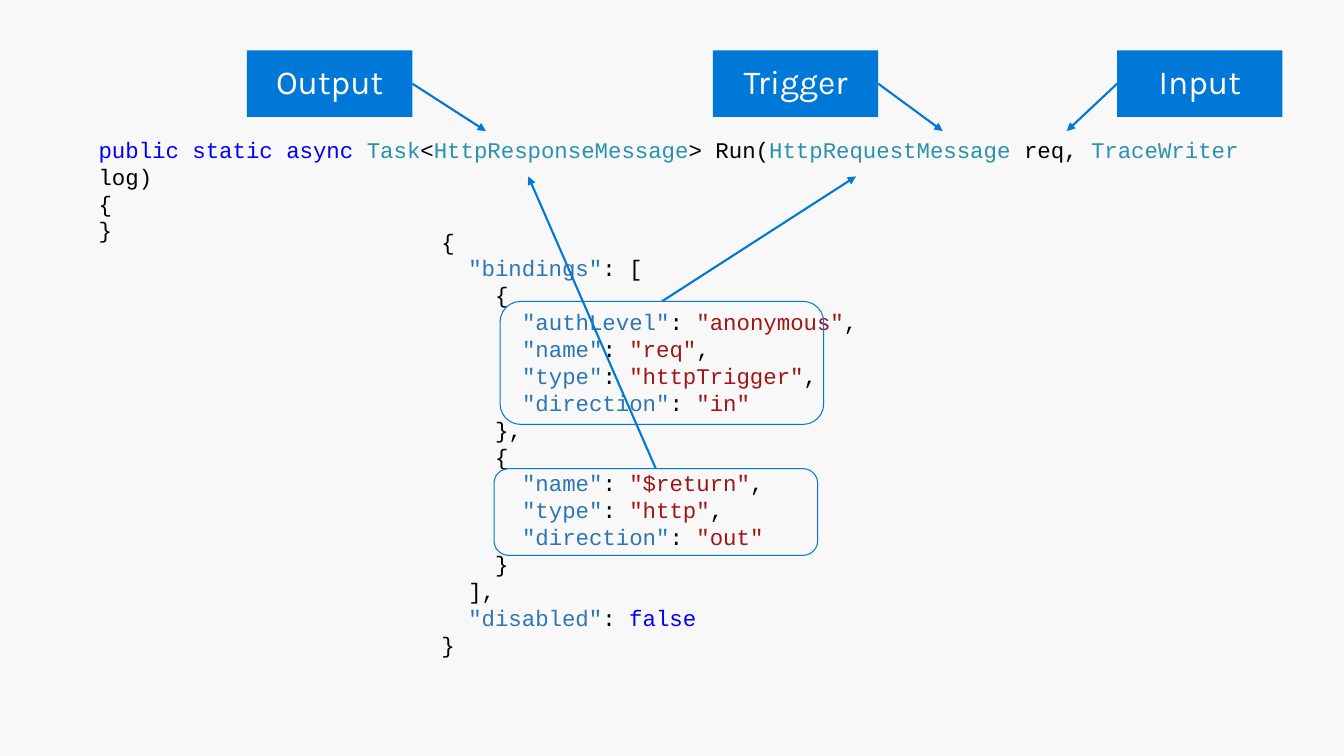
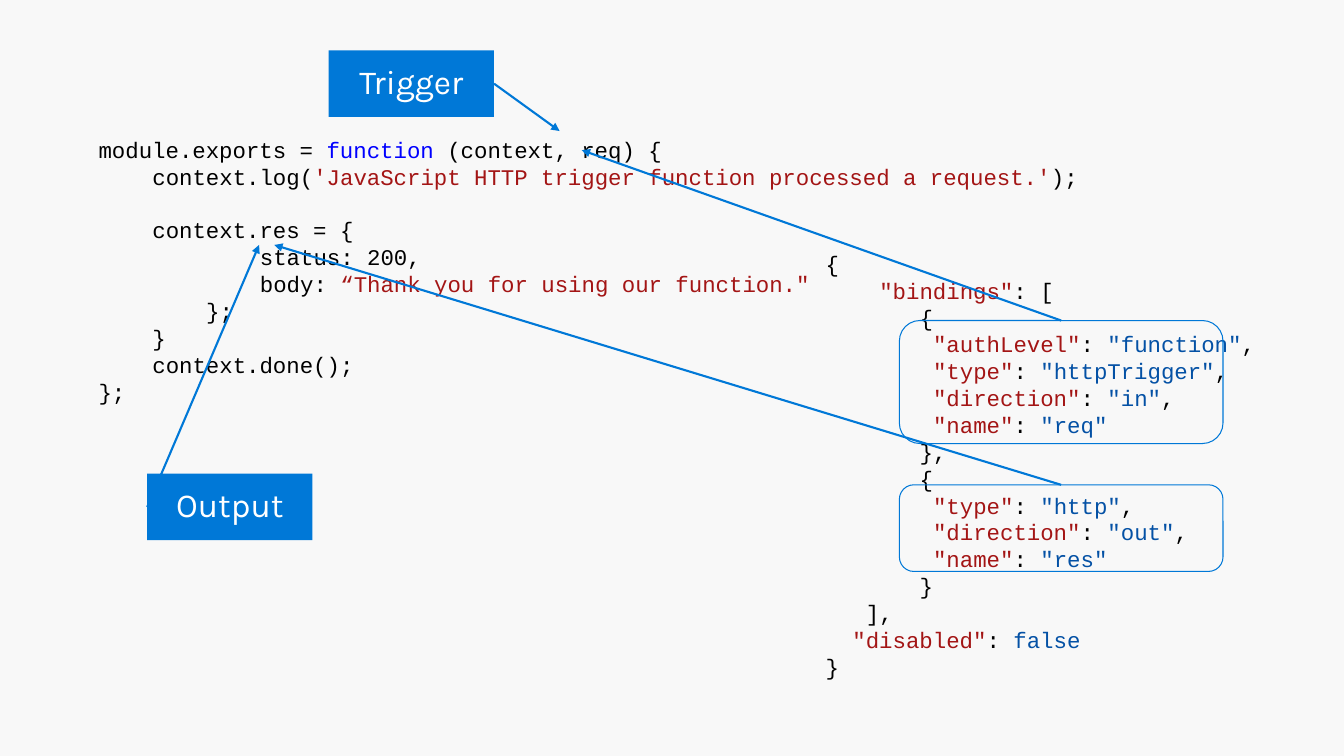
"""Build two slides that tie function code to its binding settings."""
from lxml import etree
from pptx import Presentation
from pptx.dml.color import RGBColor
from pptx.enum import shapes, text
from pptx.oxml import ns
from pptx.util import Inches, Pt

hue = RGBColor.from_string
BLACK, WHITE, PAPER = "000000", "FFFFFF", "F8F8F8"
BLUE, WORD, TYPE = "0078D7", "0000FF", "2B91AF"
RED, STEEL, NAVY = "A31515", "2E75B6", "0451A5"
LEFT, TOP, RIGHT = 1, 0, 3
CHAR, PITCH = 0.6 * 16 / 72, 19.2


def write(slide, left, top, width, rows):
    """Add a code box from rows of indent, blank lines above and coloured runs."""
    high = sum(1 + gap for _, gap, _ in rows) * PITCH / 72 + 0.1
    box = slide.shapes.add_textbox(Inches(left), Inches(top), Inches(width), Inches(high))
    frame = box.text_frame
    frame.word_wrap = True
    for i, (cols, gap, runs) in enumerate(rows):
        para = frame.add_paragraph() if i else frame.paragraphs[0]
        para.line_spacing = Pt(PITCH)
        para.space_before = Pt(gap * PITCH)
        para._p.get_or_add_pPr().set("marL", str(Inches(cols * CHAR)))
        for words, color in runs:
            run = para.add_run()
            run.text = words
            run.font.name, run.font.size = "Courier New", Pt(16)
            run.font.color.rgb = hue(color)


def link(slide, shape, site, x, y):
    """Draw an arrow from one side of a shape to a point."""
    line = slide.shapes.add_connector(shapes.MSO_CONNECTOR.STRAIGHT, 0, 0, Inches(x), Inches(y))
    line.begin_connect(shape, site)
    line.line.color.rgb = hue(BLUE)
    line.line.width = Pt(1.5)
    etree.SubElement(line.line._get_or_add_ln(), ns.qn("a:tailEnd"), type="triangle")
    etree.SubElement(line._element.spPr, ns.qn("a:effectLst"))


sharp = [
    (0, 0, [("public static async ", WORD), ("Task", TYPE), ("<", BLACK),
            ("HttpResponseMessage", TYPE), ("> Run(", BLACK),
            ("HttpRequestMessage ", TYPE), ("req, ", BLACK),
            ("TraceWriter", TYPE), (" log)", BLACK)]),
    (0, 0, [("{", BLACK)]),
    (0, 0, [("}", BLACK)]),
]
script = [
    (0, 0, [("module.exports = ", BLACK), ("function", WORD), (" (context, req) {", BLACK)]),
    (4, 0, [("context.log(", BLACK),
            ("'JavaScript HTTP trigger function processed a request.'", RED), (");", BLACK)]),
    (4, 1, [("context.res = {", BLACK)]),
    (12, 0, [("status: 200,", BLACK)]),
    (12, 0, [("body: ", BLACK), ("“Thank you for using our function.\"", RED)]),
    (8, 0, [("};", BLACK)]),
    (4, 0, [("}", BLACK)]),
    (4, 0, [("context.done();", BLACK)]),
    (0, 0, [("};", BLACK)]),
]

first = {
    "code": sharp, "at": (4.28, 2.21), "cols": (2, 4, 6, 2, 2),
    "hues": (STEEL, RED, WORD),
    "in": [("authLevel", "anonymous"), ("name", "req"), ("type", "httpTrigger"),
           ("direction", "in")],
    "out": [("name", "$return"), ("type", "http"), ("direction", "out")],
    "tags": [("Trigger", 7.07, 0.5, RIGHT, 9.35, 1.3),
             ("Input", 11.08, 0.5, LEFT, 10.58, 1.3),
             ("Output", 2.45, 0.5, RIGHT, 4.82, 1.3)],
    "frames": [(4.96, 2.99, 1.22, 8.49, 1.75), (4.9, 4.65, 0.86, 5.24, 1.75)],
}
second = {
    "code": script, "at": (8.09, 2.43), "cols": (4, 7, 8, 3, 2),
    "hues": (RED, NAVY, NAVY),
    "in": [("authLevel", "function"), ("type", "httpTrigger"), ("direction", "in"),
           ("name", "req")],
    "out": [("type", "http"), ("direction", "out"), ("name", "res")],
    "tags": [("Trigger", 3.26, 0.5, RIGHT, 5.55, 1.3),
             ("Output", 1.46, 4.7, LEFT, 2.57, 2.43)],
    "frames": [(8.92, 3.18, 1.22, 5.77, 1.49), (8.92, 4.81, 0.86, 2.72, 2.43)],
}

deck = Presentation()
deck.slide_width, deck.slide_height = Inches(13.33), Inches(7.5)
back = deck.slide_master.background.fill
back.solid()
back.fore_color.rgb = hue(PAPER)

for page in (first, second):
    slide = deck.slides.add_slide(deck.slide_layouts[6])
    write(slide, 0.88, 1.3, 11.57, page["code"])

    head, brace, pair, close, last = page["cols"]
    key, value, flag = page["hues"]
    rows = [(0, 0, [("{", BLACK)]), (head, 0, [('"bindings"', key), (": [", BLACK)])]
    for part, end in (("in", "},"), ("out", "}")):
        rows.append((brace, 0, [("{", BLACK)]))
        for i, (name, item) in enumerate(page[part], 1):
            runs = [(f'"{name}"', key), (": ", BLACK), (f'"{item}"', value)]
            if i < len(page[part]):
                runs.append((",", BLACK))
            rows.append((pair, 0, runs))
        rows.append((brace, 0, [(end, BLACK)]))
    rows += [(close, 0, [("],", BLACK)]),
             (last, 0, [('"disabled"', key), (": ", BLACK), ("false", flag)]),
             (0, 0, [("}", BLACK)])]
    write(slide, *page["at"], 6.67, rows)

    for label, left, top, site, x, y in page["tags"]:
        tag = slide.shapes.add_shape(shapes.MSO_SHAPE.RECTANGLE, Inches(left), Inches(top),
                                     Inches(1.64), Inches(0.66))
        tag.shadow.inherit = False
        tag.fill.solid()
        tag.fill.fore_color.rgb = hue(BLUE)
        tag.line.fill.background()
        frame = tag.text_frame
        frame.margin_left = frame.margin_right = Inches(0.2)
        frame.margin_top = frame.margin_bottom = Inches(0.16)
        frame.vertical_anchor = text.MSO_ANCHOR.MIDDLE
        para = frame.paragraphs[0]
        para.alignment = text.PP_ALIGN.CENTER
        para.line_spacing = 0.9
        run = para.add_run()
        run.text = label
        run.font.name, run.font.size = "Karla", Pt(24)
        run.font.color.rgb = hue(WHITE)
        link(slide, tag, site, x, y)

    for left, top, high, x, y in page["frames"]:
        ring = slide.shapes.add_shape(shapes.MSO_SHAPE.ROUNDED_RECTANGLE, Inches(left),
                                      Inches(top), Inches(3.21), Inches(high))
        ring.shadow.inherit = False
        ring.fill.background()
        ring.line.color.rgb = hue(BLUE)
        ring.line.width = Pt(0.75)
        link(slide, ring, TOP, x, y)

deck.save("out.pptx")
